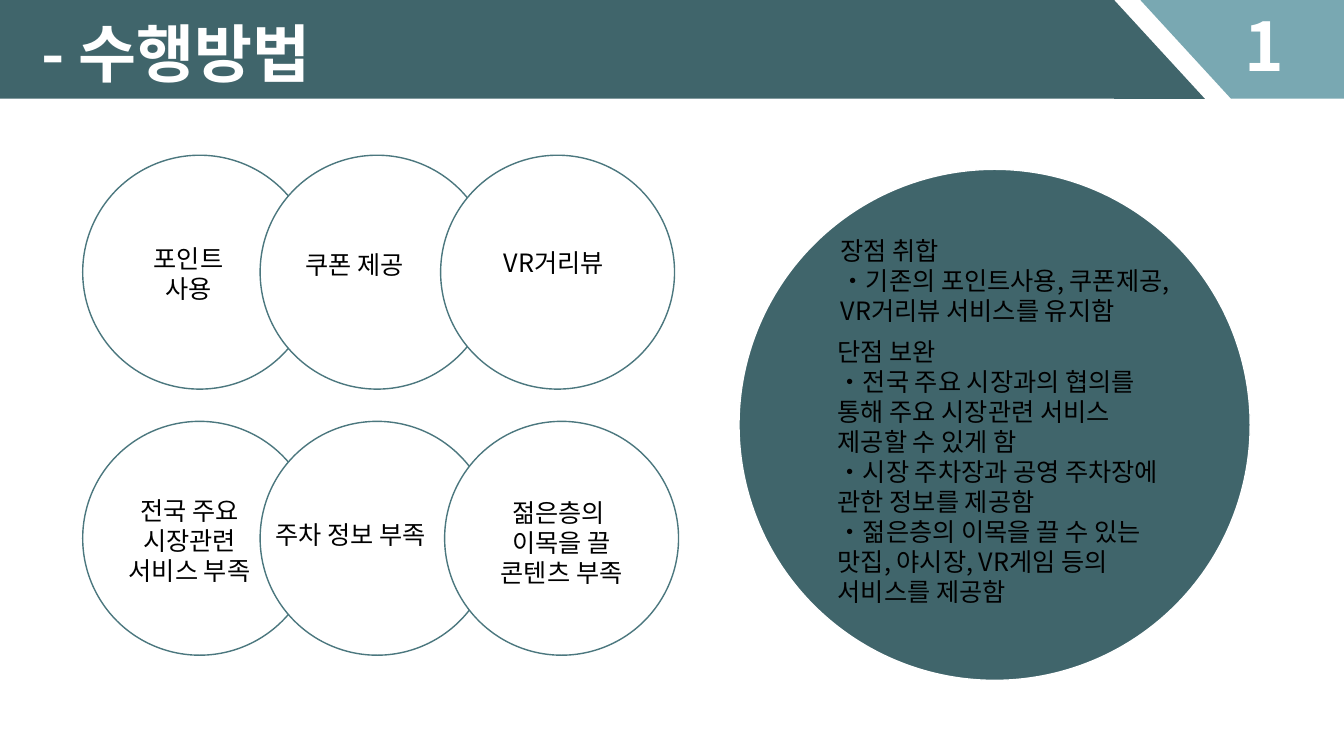
from dataclasses import dataclass

from pptx import Presentation
from pptx.dml.color import RGBColor
from pptx.enum.shapes import MSO_SHAPE
from pptx.enum.text import PP_ALIGN
from pptx.oxml import parse_xml
from pptx.oxml.ns import nsdecls
from pptx.shapes.autoshape import Shape
from pptx.slide import Slide
from pptx.util import Inches, Pt


@dataclass(frozen=True)
class Theme:
    """Colours, font and type sizes of the slide."""
    font: str = "Noto Sans CJK KR"
    dark: str = "40656B"
    light: str = "79A8B2"
    outline: str = "4B777E"
    white: str = "FFFFFF"
    black: str = "000000"
    body: int = 18
    title: int = 45
    number: int = 48
    body_spacing: float = 1.19
    header_spacing: float = 1.3


@dataclass(frozen=True)
class Box:
    """A position and size in inches."""
    left: float
    top: float
    width: float
    height: float

    def lengths(self) -> tuple[Inches, ...]:
        """Return the box as lengths."""
        return tuple(Inches(v) for v in (self.left, self.top, self.width, self.height))


@dataclass(frozen=True)
class Label:
    """A text with its box and alignment."""
    box: Box
    paragraphs: tuple[str, ...]
    align: PP_ALIGN = PP_ALIGN.CENTER


THEME = Theme()
HEADER_HEIGHT = 0.98
SLANT_WIDTH = 0.9
CIRCLE_SIZE = 2.32
CIRCLE_ROWS = {1.54: (0.82, 2.58, 4.37), 4.18: (0.82, 2.58, 4.41)}
SUMMARY_CIRCLE = Box(7.33, 1.68, 5.07, 5.07)

LABELS = (
    Label(Box(1.29, 2.37, 1.16, 0.7), ("포인트 사용",)),
    Label(Box(2.8, 2.43, 1.44, 0.4), ("쿠폰 제공",)),
    Label(Box(4.9, 2.41, 1.52, 0.4), ("VR거리뷰",), PP_ALIGN.LEFT),
    Label(Box(2.63, 5.11, 2, 0.4), ("주차 정보 부족",), PP_ALIGN.LEFT),
    Label(Box(0.99, 4.87, 1.78, 0.99), ("전국 주요", " 시장관련 ", "서비스 부족")),
    Label(Box(4.76, 4.89, 1.62, 1), ("젊은층의 ", "이목을 끌 콘텐츠 부족")),
    Label(Box(8.24, 2.29, 3.68, 0.99), (
        "장점 취합",
        "•기존의 포인트사용, 쿠폰제공, VR거리뷰 서비스를 유지함",
    ), PP_ALIGN.LEFT),
    Label(Box(8.21, 3.29, 3.56, 3.1), (
        "단점 보완",
        "•전국 주요 시장과의 협의를 통해 주요 시장관련 서비스 제공할 수 있게 함",
        "•시장 주차장과 공영 주차장에 관한 정보를 제공함",
        "•젊은층의 이목을 끌 수 있는 맛집, 야시장, VR게임 등의 서비스를 제공함",
    ), PP_ALIGN.LEFT),
)


def add_filled(slide: Slide, kind: MSO_SHAPE, box: Box, fill: str,
               line: str | None = None) -> Shape:
    """Draw a filled preset shape, outlined if a line colour is given."""
    shape = slide.shapes.add_shape(kind, *box.lengths())
    shape.shadow.inherit = False
    shape.fill.solid()
    shape.fill.fore_color.rgb = RGBColor.from_string(fill)
    if line:
        shape.line.color.rgb = RGBColor.from_string(line)
        shape.line.width = Pt(1)
    else:
        shape.line.fill.background()
    return shape


def add_slant(slide: Slide, left: float, fill: str, rotation: int = 0) -> None:
    """Draw a slanted end of the header band."""
    slant = add_filled(slide, MSO_SHAPE.ISOSCELES_TRIANGLE,
                       Box(left, 0, SLANT_WIDTH, HEADER_HEIGHT), fill)
    slant.adjustments[0] = 0
    slant.rotation = rotation


def add_text(slide: Slide, label: Label, *, size: int = THEME.body,
             color: str = THEME.black, bold: bool = False, wrap: bool = True,
             spacing: float = THEME.body_spacing) -> None:
    """Write a label in its text box."""
    frame = slide.shapes.add_textbox(*label.box.lengths()).text_frame
    frame.word_wrap = wrap
    for index, text in enumerate(label.paragraphs):
        paragraph = frame.add_paragraph() if index else frame.paragraphs[0]
        paragraph.alignment = label.align
        paragraph.line_spacing = Pt(round(size * spacing, 1))
        run = paragraph.add_run()
        run.text = text
        run.font.name = THEME.font
        run.font.size = Pt(size)
        run.font.bold = bold
        run.font.color.rgb = RGBColor.from_string(color)
        east_asian = parse_xml(f'<a:ea {nsdecls("a")} typeface="{THEME.font}"/>')
        run.font._element.append(east_asian)


def add_header(slide: Slide) -> None:
    """Draw the header band with its title and section number."""
    add_slant(slide, 11.05, THEME.dark)
    add_filled(slide, MSO_SHAPE.RECTANGLE, Box(0, 0, 11.05, HEADER_HEIGHT), THEME.dark)
    add_filled(slide, MSO_SHAPE.RECTANGLE, Box(12.21, 0, 1.12, HEADER_HEIGHT), THEME.light)
    add_slant(slide, 11.31, THEME.light, rotation=180)
    add_text(slide, Label(Box(12.24, -0.07, 0.57, 0.91), ("1",)), size=THEME.number,
             color=THEME.white, bold=True, spacing=THEME.header_spacing)
    add_text(slide, Label(Box(0.31, 0.03, 3.03, 0.84), ("- 수행방법",), PP_ALIGN.LEFT),
             size=THEME.title, color=THEME.white, bold=True, wrap=False,
             spacing=THEME.header_spacing)


def main() -> None:
    """Build and save the slide."""
    presentation = Presentation()
    presentation.slide_width = Inches(13.33)
    presentation.slide_height = Inches(7.5)
    slide = presentation.slides.add_slide(presentation.slide_layouts[6])
    add_header(slide)
    for top, lefts in CIRCLE_ROWS.items():
        for left in lefts:
            add_filled(slide, MSO_SHAPE.OVAL, Box(left, top, CIRCLE_SIZE, CIRCLE_SIZE),
                       THEME.white, THEME.outline)
    add_filled(slide, MSO_SHAPE.OVAL, SUMMARY_CIRCLE, THEME.dark, THEME.white)
    for label in LABELS:
        add_text(slide, label)
    presentation.save("out.pptx")


if __name__ == "__main__":
    main()
